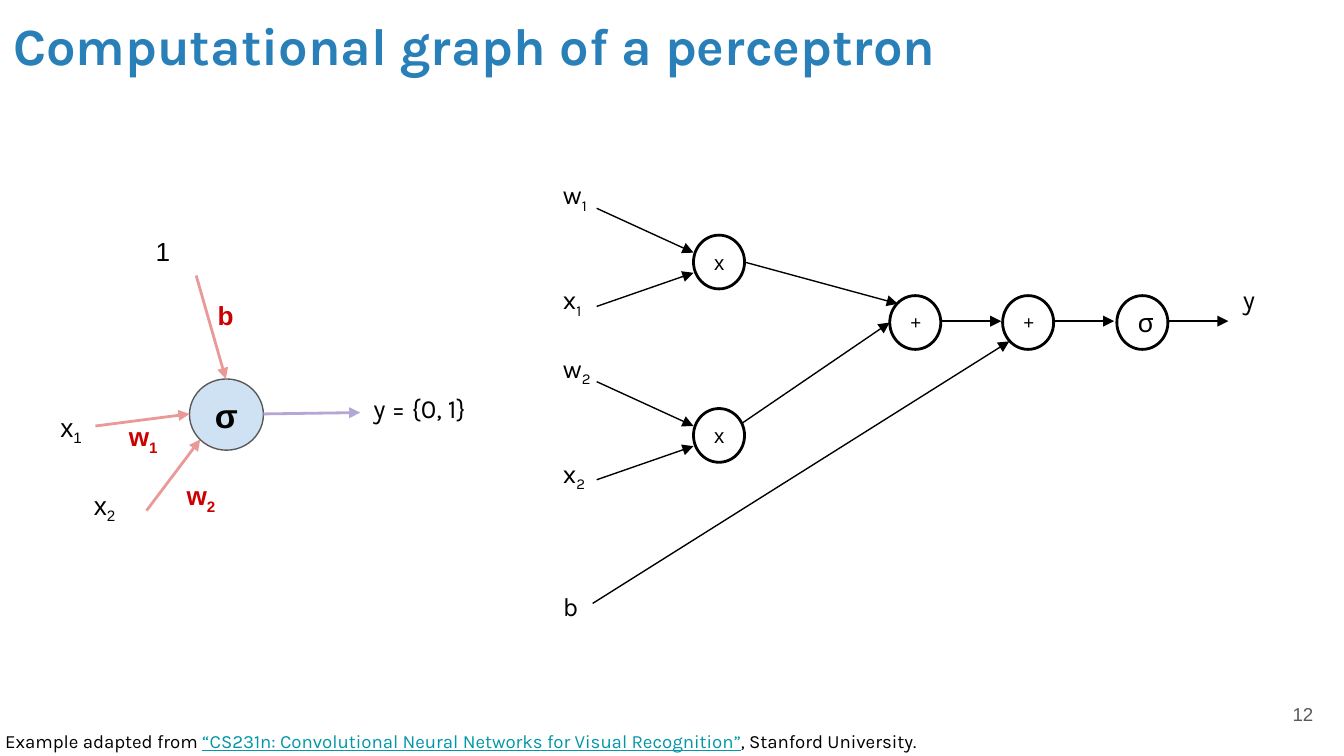
from lxml import etree
from pptx import Presentation
from pptx import util as u
from pptx.dml.color import RGBColor
from pptx.enum import shapes, text
from pptx.oxml import ns

PX = 9144
BLACK = RGBColor(0x00, 0x00, 0x00)
GREY = RGBColor(0x59, 0x59, 0x59)
TITLE_BLUE = RGBColor(0x29, 0x80, 0xB9)
NEURON_BLUE = RGBColor(0xCF, 0xE2, 0xF3)
INPUT_PINK = RGBColor(0xEA, 0x99, 0x99)
OUTPUT_PURPLE = RGBColor(0xB4, 0xA7, 0xD6)
WEIGHT_RED = RGBColor(0xCC, 0x00, 0x00)
LINK_TEAL = RGBColor(0x00, 0x97, 0xA7)


def px(*lengths):
    return [u.Emu(length * PX) for length in lengths]


def style(paragraph, size, face, color, bold=False):
    font = paragraph.font
    font.size, font.name, font.bold = u.Pt(size), face, bold
    font.color.rgb = color


def set_margins(frame, side, end):
    frame.margin_left, frame.margin_right = px(side, side)
    frame.margin_top, frame.margin_bottom = px(end, end)
    frame.word_wrap = True


def add_label(slide, box, wording="", size=14, face="Karla", color=BLACK, bold=False):
    frame = slide.shapes.add_textbox(*px(*box)).text_frame
    set_margins(frame, 10, 10)
    paragraph = frame.paragraphs[0]
    base, _, index = wording.partition("_")
    if base:
        paragraph.add_run().text = base
    if index:
        subscript = paragraph.add_run()
        subscript.text = index
        subscript._r.get_or_add_rPr().set("baseline", "-25000")
    style(paragraph, size, face, color, bold)
    return frame


def add_node(slide, box, symbol, size, face="Arial", fill=None,
             line=BLACK, weight=1.5, bold=False, inset=5):
    node = slide.shapes.add_shape(shapes.MSO_SHAPE.OVAL, *px(*box))
    node.shadow.inherit = False
    if fill is None:
        node.fill.background()
    else:
        node.fill.solid()
        node.fill.fore_color.rgb = fill
    node.line.color.rgb, node.line.width = line, u.Pt(weight)
    frame = node.text_frame
    set_margins(frame, 10, inset)
    frame.vertical_anchor = text.MSO_ANCHOR.MIDDLE
    paragraph = frame.paragraphs[0]
    paragraph.text, paragraph.alignment = symbol, text.PP_ALIGN.CENTER
    style(paragraph, size, face, BLACK, bold)


def add_arrow(slide, start, end, color=BLACK, weight=0.75):
    arrow = slide.shapes.add_connector(
        shapes.MSO_CONNECTOR.STRAIGHT, *px(*start, *end))
    arrow.line.color.rgb, arrow.line.width = color, u.Pt(weight)
    head = etree.SubElement(arrow.line._get_or_add_ln(), ns.qn("a:tailEnd"))
    head.set("type", "triangle")
    etree.SubElement(arrow._element.spPr, ns.qn("a:effectLst"))


def draw_neuron(slide, left, top):
    def at(x, y):
        return left + x, top + y

    add_node(slide, (*at(106, 117), 55, 53), "σ", 18, fill=NEURON_BLUE,
             line=GREY, weight=0.75, bold=True, inset=10)
    for start, end in [((36, 152), (106, 143)), ((74, 215), (114, 162)),
                       ((111, 40), (133, 117))]:
        add_arrow(slide, at(*start), at(*end), INPUT_PINK, 1.5)
    add_arrow(slide, at(161, 143), at(233, 142), OUTPUT_PURPLE, 1.5)

    for wording, x, y in [("1", 71, 0), ("x_1", 0, 131), ("x_2", 25, 189)]:
        add_label(slide, (*at(x, y), 49, 43), wording, face="Arial")
    for wording, x, y in [("b", 117, 48), ("w_1", 51, 138), ("w_2", 94, 182)]:
        add_label(slide, (*at(x, y), 49, 43), wording, face="Arial",
                  color=WEIGHT_RED, bold=True)
    add_label(slide, (*at(233, 117), 130, 43), "y = {0, 1}")


def draw_product(slide, left, top, index):
    add_label(slide, (left, top, 45, 29), f"w_{index}")
    add_label(slide, (left, top + 78, 45, 29), f"x_{index}")
    add_node(slide, (left + 107, top + 52, 38, 40), "x", 11)
    add_arrow(slide, (left + 35, top + 32), (left + 107, top + 65))
    add_arrow(slide, (left + 35, top + 105), (left + 107, top + 80))


def draw_graph(slide, left, top):
    def at(x, y):
        return left + x, top + y

    for row in range(2):
        draw_product(slide, *at(0, 129 * row), row + 1)
    for x, symbol, size, face in [(253, "+", 10, "Arial"), (337, "+", 10, "Arial"),
                                  (422, "σ", 14, "Noto Sans")]:
        add_node(slide, (*at(x, 97), 38, 40), symbol, size, face)
        add_arrow(slide, at(x + 38, 116), at(x + 83, 116))
    for start, end in [((145, 72), (259, 103)), ((143, 192), (253, 117)),
                       ((32, 326), (342, 131))]:
        add_arrow(slide, at(*start), at(*end))
    add_label(slide, (*at(0, 306), 45, 29), "b")
    add_label(slide, (*at(506, 78), 45, 29), "y")


def draw_footer(slide, left, top):
    paragraph = add_label(slide, (left, top, 872, 26), size=10).paragraphs[0]
    for wording, color, underline in [
            ("Example adapted from ", BLACK, False),
            ("“CS231n: Convolutional Neural Networks for Visual Recognition”",
             LINK_TEAL, True),
            (", Stanford University.", BLACK, False)]:
        run = paragraph.add_run()
        run.text = wording
        run.font.color.rgb, run.font.underline = color, underline


def draw_page_number(slide, left, top):
    frame = add_label(slide, (left, top, 60, 43), "12", 10, "Arial", GREY)
    frame.vertical_anchor = text.MSO_ANCHOR.MIDDLE
    frame.paragraphs[0].alignment = text.PP_ALIGN.RIGHT


def main():
    deck = Presentation()
    deck.slide_width = u.Inches(10)
    deck.slide_height = deck.slide_width * 9 // 16
    slide = deck.slides.add_slide(deck.slide_layouts[6])
    add_label(slide, (0, 0, 932, 63), "Computational graph of a perceptron",
              28, color=TITLE_BLUE, bold=True)
    draw_neuron(slide, 35, 165)
    draw_graph(slide, 409, 123)
    draw_footer(slide, -6, 535)
    draw_page_number(slide, 927, 510)
    deck.save("out.pptx")


if __name__ == "__main__":
    main()
